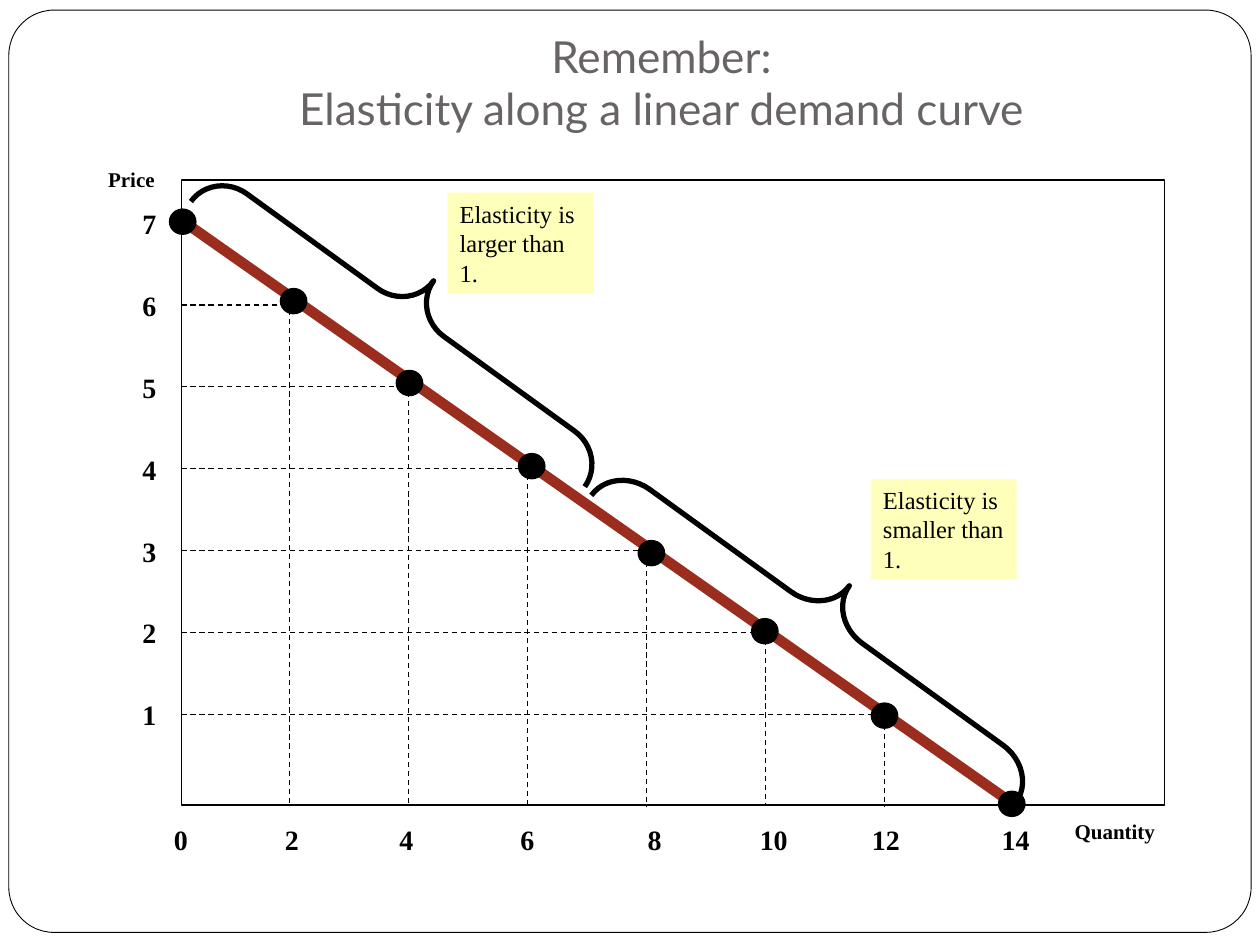
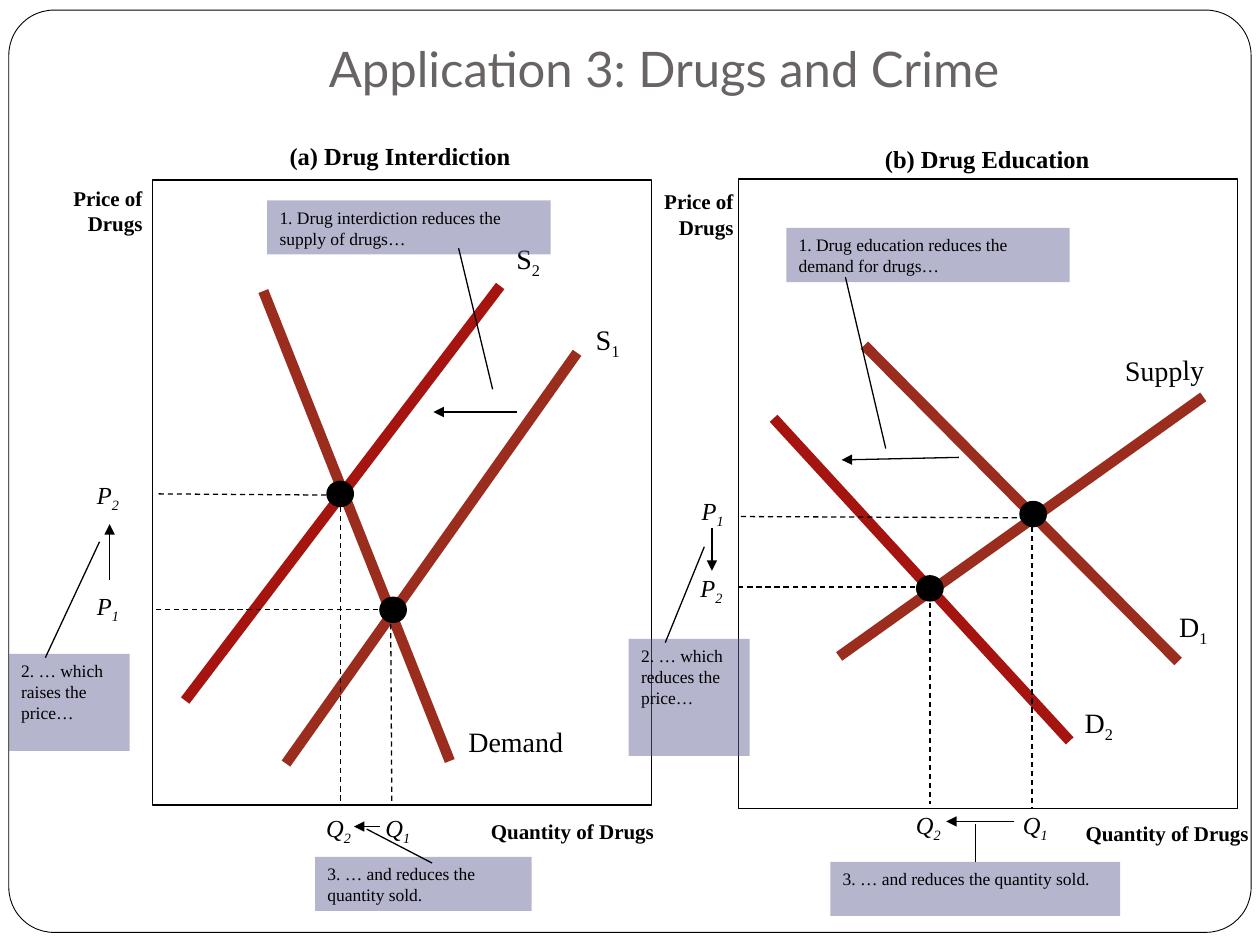
"""Builds two economics slides: elasticity along a demand curve, and drug policy in two markets."""
from lxml.etree import SubElement
from pptx import Presentation
from pptx.dml.color import RGBColor
from pptx.enum.dml import MSO_LINE
from pptx.enum.shapes import MSO_CONNECTOR, MSO_SHAPE
from pptx.enum.text import MSO_ANCHOR, PP_ALIGN
from pptx.oxml.ns import qn
from pptx.util import Inches, Pt

BLACK = RGBColor(0x00, 0x00, 0x00)
WHITE = RGBColor(0xFF, 0xFF, 0xFF)
TITLE_GREY = RGBColor(0x69, 0x64, 0x64)
CURVE_RED = RGBColor(0x9B, 0x2D, 0x1F)
SHIFTED_RED = RGBColor(0xA6, 0x14, 0x10)
NOTE_YELLOW = RGBColor(0xFE, 0xFF, 0xBA)
NOTE_VIOLET = RGBColor(0x66, 0x66, 0x99)
SERIF, SANS = "Times New Roman", "Lato"
LEFT, CENTER, RIGHT = PP_ALIGN.LEFT, PP_ALIGN.CENTER, PP_ALIGN.RIGHT

deck = Presentation()
deck.slide_width, deck.slide_height = Inches(10), Inches(7.5)
COLUMN = deck.slide_width / 10
ROW = deck.slide_height / 7.5
DOT_W, DOT_H = 0.21, 0.2


def write(slide, text, at, *, shape=None, fill=None, opacity=100, outline=None, adjust=(),
          turn=0, size=12, font=SERIF, color=BLACK, bold=False, italic=False,
          align=LEFT, anchor=MSO_ANCHOR.TOP, bottom=0.05):
    """Place text, in a preset shape if one is given; an underscore starts a subscript."""
    left, top, width, height = at
    box = [int(left * COLUMN), int(top * ROW), int(width * COLUMN), int(height * ROW)]
    if shape is None:
        item = slide.shapes.add_textbox(*box)
    else:
        item = slide.shapes.add_shape(shape, *box)
        item.shadow.inherit = False
        for index, value in enumerate(adjust):
            item.adjustments[index] = value
        if fill is None:
            item.fill.background()
        else:
            item.fill.solid()
            item.fill.fore_color.rgb = fill
        if opacity < 100:
            paint = item.fill._xPr.find(qn("a:solidFill"))[0]
            SubElement(paint, qn("a:alpha")).set("val", str(opacity * 1000))
        if outline is None:
            item.line.fill.background()
        else:
            item.line.color.rgb = BLACK
            item.line.width = Pt(outline)
    item.rotation = turn
    if text:
        frame = item.text_frame
        frame.word_wrap = True
        frame.vertical_anchor = anchor
        frame.margin_bottom = Inches(bottom)
        paragraph = frame.paragraphs[0]
        paragraph.alignment = align
        base, _, subscript = text.partition("_")
        paragraph.text = base
        if subscript:
            lowered = paragraph.add_run()
            lowered.text = subscript
            lowered.font._element.set("baseline", "-25000")
        for run in paragraph.runs:
            run.font.name, run.font.size = font, Pt(size)
            run.font.bold, run.font.italic = bold, italic
            run.font.color.rgb = color
    return item


def rule(slide, x1, y1, x2, y2, *, color=BLACK, width=0.75, dashed=False, arrow=False):
    """Draw a straight line between two grid points."""
    line = slide.shapes.add_connector(MSO_CONNECTOR.STRAIGHT, int(x1 * COLUMN), int(y1 * ROW),
                                      int(x2 * COLUMN), int(y2 * ROW))
    line.line.color.rgb = color
    line.line.width = Pt(width)
    if dashed:
        line.line.dash_style = MSO_LINE.DASH
    if arrow:
        SubElement(line.line._get_or_add_ln(), qn("a:tailEnd")).set("type", "triangle")
    SubElement(line._element.spPr, qn("a:effectLst"))
    return line


titles = [
    ("Remember:\nElasticity along a linear demand curve", (1, 0.3, 8.5, 0.87), 25.2),
    ("Application 3: Drugs and Crime", (1.02, 0.23, 8.5, 0.64), 28),
]
slides = []
for title, place, size in titles:
    slide = deck.slides.add_slide(deck.slide_layouts[6])
    write(slide, "", (0.07, 0.08, 9.86, 7.32), shape=MSO_SHAPE.ROUNDED_RECTANGLE,
          fill=WHITE, outline=0.5, adjust=[0.049])
    write(slide, title, place, size=size, font=SANS, color=TITLE_GREY, align=CENTER,
          anchor=MSO_ANCHOR.BOTTOM, bottom=0.1)
    slides.append(slide)
elasticity, drugs = slides

write(elasticity, "", (1.44, 1.43, 7.8, 4.96), shape=MSO_SHAPE.RECTANGLE, fill=WHITE, outline=0.75)
write(elasticity, "Price", (0.76, 1.27, 0.63, 0.3), bold=True)
write(elasticity, "Quantity", (8.43, 6.45, 0.95, 0.3), bold=True)
rule(elasticity, 1.43, 1.74, 8.07, 6.4, color=CURVE_RED, width=6)

demand_points = [(1.45, 1.76), (2.33, 2.39), (3.25, 3.04), (4.22, 3.7),
                 (5.17, 4.39), (6.07, 5.01), (7.02, 5.68), (8.03, 6.38)]
quantity_right_edges = [1.59, 2.47, 3.38, 4.34, 5.35, 6.35, 7.24, 8.27]
for step, ((x, y), edge) in enumerate(zip(demand_points, quantity_right_edges)):
    write(elasticity, str(2 * step), (edge - 0.6, 6.48, 0.6, 0.37), size=16, bold=True, align=RIGHT)
    if step < 7:
        write(elasticity, str(7 - step), (0.01, 1.59 + 0.65 * step, 1.33, 0.37),
              size=16, bold=True, align=RIGHT)
    if 0 < step < 7:
        price_y = 1.77 + 0.65 * step
        quantity_x = 1.35 + 0.945 * step
        rule(elasticity, 1.44, price_y, x, price_y, dashed=True)
        rule(elasticity, quantity_x, y, quantity_x, 6.4, dashed=True)
    write(elasticity, "", (x - DOT_W / 2, y - DOT_H / 2, DOT_W, DOT_H),
          shape=MSO_SHAPE.OVAL, fill=BLACK, outline=0.75)

elastic_ranges = [
    ("larger", (2.95, 0.55, 0.62, 3.86), 0.522, (3.55, 1.53)),
    ("smaller", (6.25, 2.82, 0.62, 4.16), 0.562, (6.91, 3.8)),
]
for comparison, brace, curl, corner in elastic_ranges:
    write(elasticity, "", brace, shape=MSO_SHAPE.RIGHT_BRACE, outline=3, adjust=[curl, 0.5], turn=305.9)
    write(elasticity, f"Elasticity is {comparison} than 1.", (*corner, 1.16, 0.8),
          shape=MSO_SHAPE.RECTANGLE, fill=NOTE_YELLOW, size=14)

markets = [
    ("(a) Drug Interdiction", (1.18, 1.07), (1.21, 1.43, 3.96, 4.96), (0.38, 1.42), (3.62, 6.45)),
    ("(b) Drug Education", (5.84, 1.09), (5.86, 1.42, 3.96, 5), (5.07, 1.45), (8.34, 6.46)),
]
for heading, heading_at, plot, price_at, quantity_at in markets:
    write(drugs, "", plot, shape=MSO_SHAPE.RECTANGLE, fill=WHITE, outline=0.75)
    write(drugs, heading, (*heading_at, 3.99, 0.33), size=14, bold=True, align=CENTER)
    write(drugs, "Price of Drugs", (*price_at, 0.85, 0.7), bold=True, align=RIGHT)
    write(drugs, "Quantity of Drugs", (*quantity_at, 1.67, 0.3), bold=True, align=RIGHT)

curves = [
    ("Demand", (2.09, 2.31, 3.57, 6.04), CURVE_RED, (3.62, 5.7), 0),
    ("S_1", (2.27, 6.06, 4.58, 2.8), CURVE_RED, (4.63, 2.5), 358.9),
    ("S_2", (1.47, 5.56, 3.97, 2.27), SHIFTED_RED, (4, 1.87), 0),
    ("D_1", (6.86, 2.74, 9.35, 5.25), CURVE_RED, (9.26, 4.79), 0),
    ("Supply", (6.66, 5.21, 9.55, 3.15), CURVE_RED, (8.83, 2.75), 358.9),
    ("D_2", (6.14, 3.32, 8.49, 5.88), SHIFTED_RED, (8.51, 5.55), 0),
]
for name, ends, color, label_at, turn in curves:
    rule(drugs, *ends, color=color, width=6)
    write(drugs, name, (*label_at, 1.17, 0.37), size=16, turn=turn)

guides = [
    (1.24, 4.84, 3.17, 4.84), (1.26, 3.92, 2.72, 3.93), (3.1, 4.81, 3.11, 6.39),
    (2.7, 4.02, 2.7, 6.4), (5.88, 4.1, 8.22, 4.11), (5.86, 4.66, 7.35, 4.66),
    (8.19, 4.11, 8.19, 6.41), (7.38, 4.64, 7.38, 6.38),
]
for ends in guides:
    rule(drugs, *ends, dashed=True)

equilibria = [(3.12, 4.84), (2.7, 3.92), (8.2, 4.08), (7.38, 4.67)]
for x, y in equilibria:
    write(drugs, "", (x - DOT_W / 2, y - DOT_H / 2, DOT_W, DOT_H),
          shape=MSO_SHAPE.OVAL, fill=BLACK, outline=0.75)

axis_marks = [
    ("P_1", 0.67, 4.64), ("P_2", 0.67, 3.76), ("Q_1", 2.96, 6.4), ("Q_2", 2.49, 6.4),
    ("P_1", 5.47, 3.89), ("P_2", 5.46, 4.5), ("Q_1", 8.02, 6.38), ("Q_2", 7.17, 6.38),
]
for mark, x, y in axis_marks:
    write(drugs, mark, (x, y, 0.55, 0.33), size=14, italic=True)

shifts = [
    (4.1, 3.27, 3.44, 3.27), (0.87, 4.6, 0.87, 4.16), (3.02, 6.56, 2.81, 6.56),
    (7.61, 3.63, 6.68, 3.65), (5.65, 4.19, 5.65, 4.53), (8.05, 6.52, 7.51, 6.52),
]
for ends in shifts:
    rule(drugs, *ends, arrow=True)

explanations = [
    ("1. Drug interdiction reduces the supply of drugs…", (2.12, 1.59, 2.25, 0.43), (3.64, 1.97, 3.91, 3.09)),
    ("2. … which raises the price…", (0.07, 5.19, 0.96, 0.77), (0.36, 5.22, 0.79, 4.3)),
    ("3. … and reduces the quantity sold.", (2.5, 6.8, 1.72, 0.43), (3.43, 6.85, 2.91, 6.58)),
    ("1. Drug education reduces the demand for drugs…", (6.24, 1.81, 2.25, 0.43), (6.71, 2.2, 7.03, 3.56)),
    ("2. … which reduces the price…", (4.99, 5.07, 0.96, 0.93), (5.28, 5.1, 5.59, 4.34)),
    ("3. … and reduces the quantity sold.", (6.59, 6.84, 2.3, 0.43), (7.74, 6.84, 7.74, 6.54)),
]
for text, place, pointer in explanations:
    note = write(drugs, text, place, shape=MSO_SHAPE.RECTANGLE, fill=NOTE_VIOLET, opacity=48, size=10)
    leader = rule(drugs, *pointer)
    if pointer[:2] == (7.74, 6.84):
        leader.begin_connect(note, 0)

deck.save("out.pptx")
